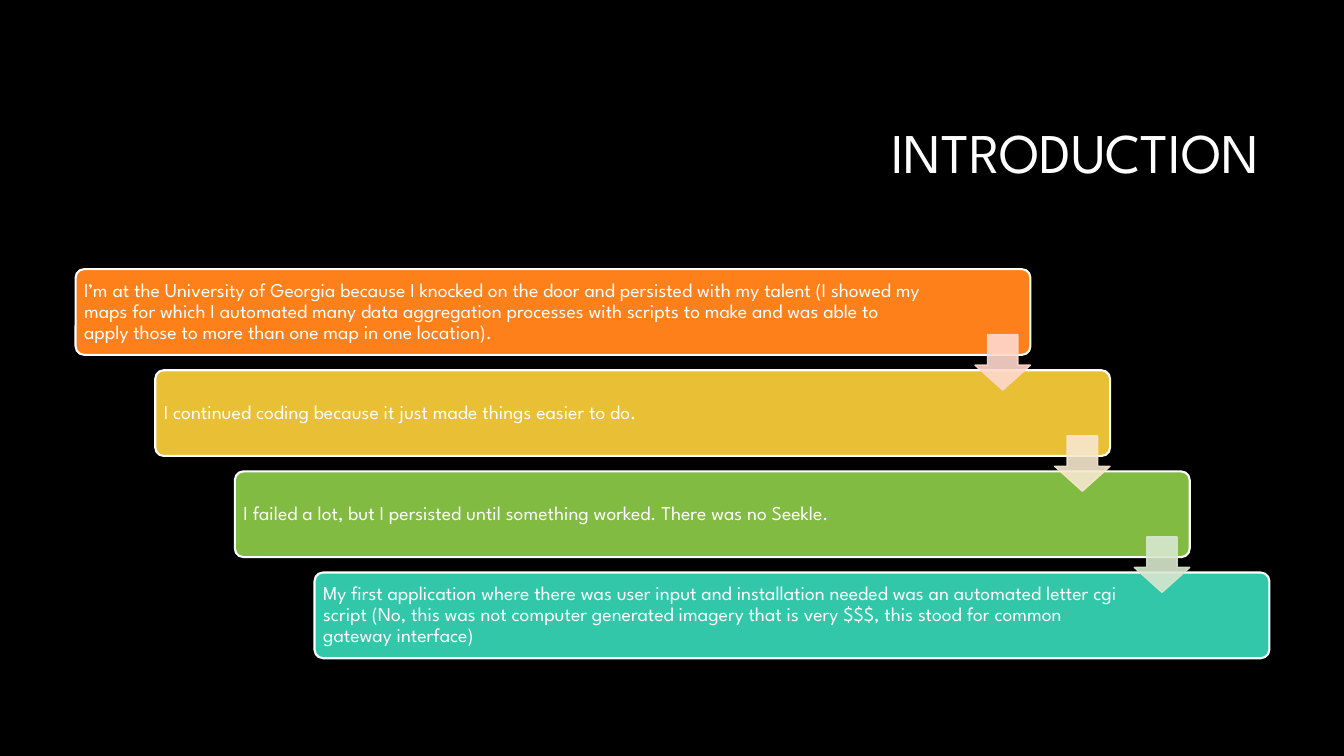
from lxml import etree
from pptx import Presentation
from pptx.dml.color import RGBColor
from pptx.enum.shapes import MSO_SHAPE
from pptx.enum.text import MSO_ANCHOR, PP_ALIGN
from pptx.oxml.ns import qn
from pptx.util import Inches, Pt

ROUNDED = MSO_SHAPE.ROUNDED_RECTANGLE
DOWN_ARROW = MSO_SHAPE.DOWN_ARROW
MIDDLE = MSO_ANCHOR.MIDDLE
LEFT, RIGHT = PP_ALIGN.LEFT, PP_ALIGN.RIGHT

FONT = "League Spartan"
BLACK = RGBColor(0x00, 0x00, 0x00)
WHITE = RGBColor(0xFF, 0xFF, 0xFF)
ORANGE = RGBColor(0xFE, 0x80, 0x1A)
YELLOW = RGBColor(0xE9, 0xBF, 0x35)
GREEN = RGBColor(0x81, 0xBB, 0x42)
TEAL = RGBColor(0x32, 0xC7, 0xA9)
PALE_ORANGE = RGBColor(0xFF, 0xD8, 0xCD)
PALE_YELLOW = RGBColor(0xF7, 0xE8, 0xCE)
PALE_GREEN = RGBColor(0xD8, 0xE7, 0xCF)

# Content: text and colour of each step, then the arrows between steps
HEADING = "INTRODUCTION"
STEPS = [
    ("I’m at the University of Georgia because I knocked on the door and "
     "persisted with my talent (I showed my maps for which I automated many "
     "data aggregation processes with scripts to make and was able to apply "
     "those to more than one map in one location).", ORANGE),
    ("I continued coding because it just made things easier to do.", YELLOW),
    ("I failed a lot, but I persisted until something worked. "
     "There was no Seekle.", GREEN),
    ("My first application where there was user input and installation needed "
     "was an automated letter cgi script (No, this was not computer generated "
     "imagery that is very $$$, this stood for common gateway interface)", TEAL),
]
ARROW_COLORS = [PALE_ORANGE, PALE_YELLOW, PALE_GREEN]

# Staircase grid, in inches
FIRST_LEFT, LAST_LEFT = 0.75, 3.12
FIRST_TOP, LAST_TOP = 2.67, 5.68
STEP_WIDTH, STEP_HEIGHT = 9.47, 0.85
STEP_RIGHT = (LAST_LEFT - FIRST_LEFT) / (len(STEPS) - 1)
STEP_DOWN = (LAST_TOP - FIRST_TOP) / (len(STEPS) - 1)
ARROW_SIZE, ARROW_DROP = 0.55, 0.65
PADDING = 0.06
FIRST_MARGIN, LATER_MARGIN = 1.0, 1.4


def format_text(frame, size, align):
    frame.word_wrap = True
    frame.vertical_anchor = MIDDLE
    paragraph = frame.paragraphs[0]
    paragraph.alignment = align
    paragraph.line_spacing = 0.9
    font = paragraph.runs[0].font
    font.name, font.size = FONT, Pt(size)
    font.color.rgb = WHITE


def add_block(slide, preset, box, fill, line, line_width):
    block = slide.shapes.add_shape(preset, *(Inches(v) for v in box))
    block.shadow.inherit = False
    block.fill.solid()
    block.fill.fore_color.rgb = fill
    block.line.color.rgb = line
    block.line.width = Pt(line_width)
    return block


def add_step(slide, index, text, color):
    box = (FIRST_LEFT + index * STEP_RIGHT, FIRST_TOP + index * STEP_DOWN,
           STEP_WIDTH, STEP_HEIGHT)
    step = add_block(slide, ROUNDED, box, color, WHITE, 1.5)
    step.adjustments[0] = 0.1
    frame = step.text_frame
    frame.text = text
    frame.margin_left = frame.margin_top = frame.margin_bottom = Inches(PADDING)
    frame.margin_right = Inches(LATER_MARGIN if index else FIRST_MARGIN)
    format_text(frame, 14, LEFT)


def add_arrow(slide, index, color):
    box = (FIRST_LEFT + index * STEP_RIGHT + STEP_WIDTH - ARROW_SIZE,
           FIRST_TOP + index * STEP_DOWN + ARROW_DROP, ARROW_SIZE, ARROW_SIZE)
    arrow = add_block(slide, DOWN_ARROW, box, color, color, 1)
    arrow.adjustments[0], arrow.adjustments[1] = 0.55, 0.45
    # Fill and outline are slightly transparent
    for tint in arrow._element.spPr.iter(qn("a:srgbClr")):
        etree.SubElement(tint, qn("a:alpha"), val="90000")


def main():
    deck = Presentation()
    deck.slide_width, deck.slide_height = Inches(13.33), Inches(7.5)
    slide = deck.slides.add_slide(deck.slide_layouts[5])
    slide.background.fill.solid()
    slide.background.fill.fore_color.rgb = BLACK

    # Title
    title = slide.shapes.title
    title.left, title.top = Inches(3.17), Inches(0.84)
    title.width, title.height = Inches(9.42), Inches(1.41)
    title.text_frame.text = HEADING
    format_text(title.text_frame, 40, RIGHT)

    # Steps, with the arrows in front
    for index, (text, color) in enumerate(STEPS):
        add_step(slide, index, text, color)
    for index, color in enumerate(ARROW_COLORS):
        add_arrow(slide, index, color)

    deck.save("out.pptx")


if __name__ == "__main__":
    main()
